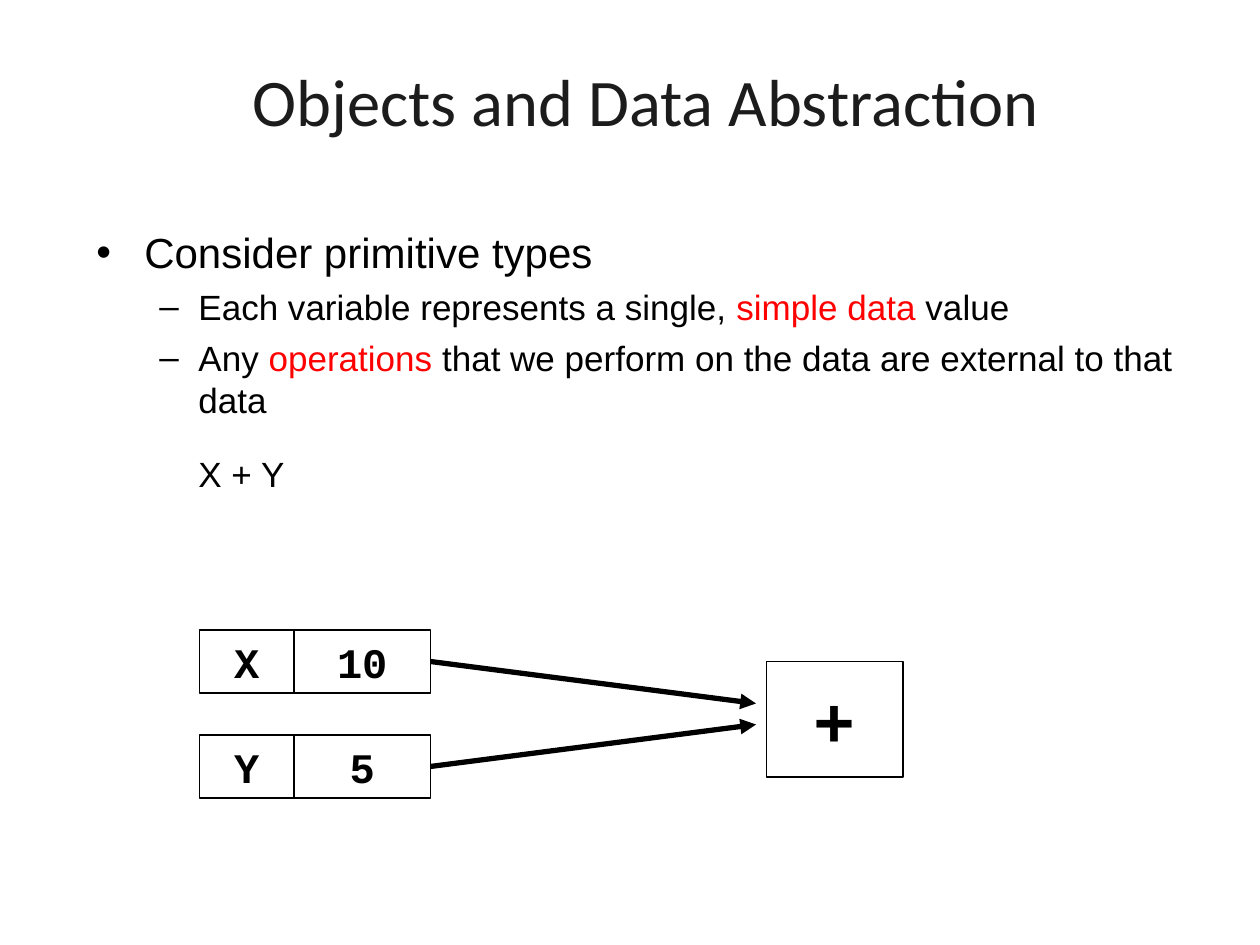
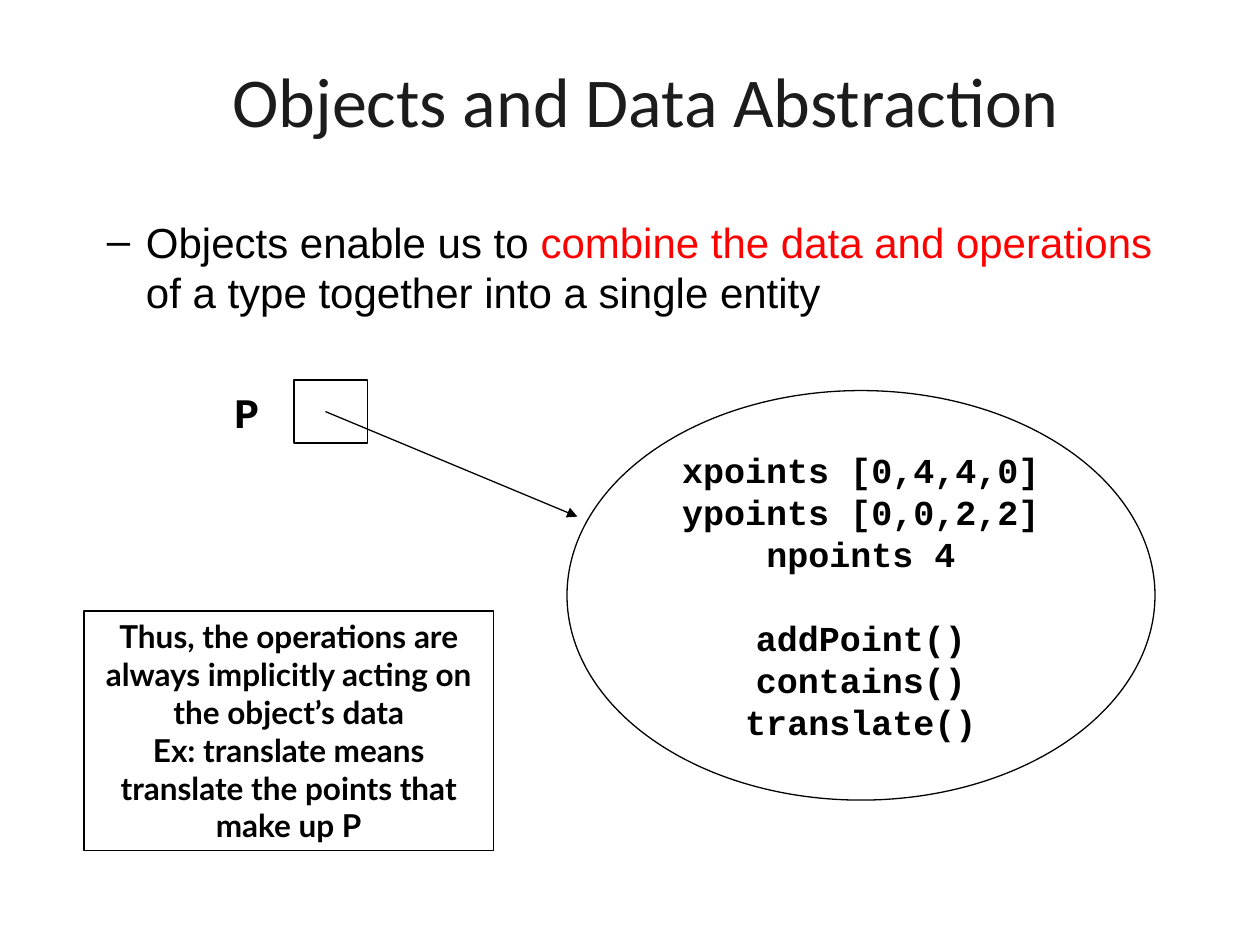
from dataclasses import dataclass

from lxml import etree
from pptx import Presentation
from pptx.dml.color import RGBColor
from pptx.enum.shapes import MSO_CONNECTOR, MSO_SHAPE
from pptx.enum.text import MSO_ANCHOR, PP_ALIGN
from pptx.oxml.ns import qn
from pptx.util import Inches, Pt

RECTANGLE, ELLIPSE = MSO_SHAPE.RECTANGLE, MSO_SHAPE.OVAL
STRAIGHT = MSO_CONNECTOR.STRAIGHT
TOP, MIDDLE = MSO_ANCHOR.TOP, MSO_ANCHOR.MIDDLE
LEFT, CENTER = PP_ALIGN.LEFT, PP_ALIGN.CENTER

COLORS = {"title": "1C1C1C", "ink": "000000", "highlight": "FF0000"}
SLIDE_WIDTH, SLIDE_HEIGHT = Inches(10), Inches(7.5)
COLUMNS, ROWS = 120, 90
LINE_HEIGHT = 1.2
TITLE = "Objects and Data Abstraction"


@dataclass(frozen=True)
class Area:
    column: float
    row: float
    columns: float
    rows: float


@dataclass(frozen=True)
class Line:
    text: str
    size: float
    font: str = "Courier New"
    bold: bool = True
    color: str = "ink"
    highlight: str = ""
    bullet: str = ""
    margin: float = 0
    hanging: float = 0
    before: float = 0
    height: float = 0
    align: PP_ALIGN = CENTER


@dataclass(frozen=True)
class Box:
    area: Area
    lines: tuple[Line, ...] = ()
    preset: MSO_SHAPE = RECTANGLE
    wrap: bool = False


@dataclass(frozen=True)
class Arrow:
    start: tuple[float, float]
    end: tuple[float, float]
    width: float


def across(columns: float) -> int:
    return round(SLIDE_WIDTH * columns / COLUMNS)


def down(rows: float) -> int:
    return round(SLIDE_HEIGHT * rows / ROWS)


def place(area: Area) -> tuple[int, int, int, int]:
    return across(area.column), down(area.row), across(area.columns), down(area.rows)


def rgb(name: str) -> RGBColor:
    return RGBColor.from_string(COLORS[name])


def top_point(text: str) -> Line:
    return Line(text, 24, "Arial", False, bullet="•", margin=0.38, hanging=0.38, align=LEFT)


def sub_point(text: str, highlight: str, size: float = 20, before: float = 5) -> Line:
    return Line(text, size, "Arial", False, highlight=highlight, bullet="–",
                margin=0.81, hanging=0.31, before=before, align=LEFT)


def write_line(paragraph, line: Line) -> None:
    properties = paragraph._p.get_or_add_pPr()
    properties.set("marL", str(Inches(line.margin)))
    properties.set("indent", str(-Inches(line.hanging)))
    if line.bullet:
        etree.SubElement(properties, qn("a:buFont"), typeface="Arial")
        etree.SubElement(properties, qn("a:buChar"), char=line.bullet)
    paragraph.alignment = line.align
    paragraph.space_before = Pt(line.before)
    paragraph.line_spacing = Pt(line.height or line.size * LINE_HEIGHT)

    pieces = [(line.text, line.color)]
    if line.highlight:
        lead, marked, rest = line.text.partition(line.highlight)
        pieces = [(lead, line.color), (marked, "highlight"), (rest, line.color)]
    for text, color in pieces:
        run = paragraph.add_run()
        run.text = text
        run.font.name, run.font.size, run.font.bold = line.font, Pt(line.size), line.bold
        run.font.color.rgb = rgb(color)


def write_lines(shape, lines: tuple[Line, ...], anchor: MSO_ANCHOR, wrap: bool) -> None:
    text_frame = shape.text_frame
    text_frame.word_wrap = wrap
    text_frame.vertical_anchor = anchor
    for index, line in enumerate(lines):
        paragraph = text_frame.add_paragraph() if index else text_frame.paragraphs[0]
        write_line(paragraph, line)


def add_text(slide, area: Area, lines: tuple[Line, ...],
             anchor: MSO_ANCHOR = TOP, wrap: bool = True) -> None:
    write_lines(slide.shapes.add_textbox(*place(area)), lines, anchor, wrap)


def add_box(slide, box: Box) -> None:
    shape = slide.shapes.add_shape(box.preset, *place(box.area))
    shape.shadow.inherit = False
    shape.fill.background()
    shape.line.color.rgb = rgb("ink")
    shape.line.width = Pt(0.75)
    write_lines(shape, box.lines, MIDDLE, box.wrap)


def add_arrow(slide, arrow: Arrow) -> None:
    (start_column, start_row), (end_column, end_row) = arrow.start, arrow.end
    connector = slide.shapes.add_connector(
        STRAIGHT, across(start_column), down(start_row), across(end_column), down(end_row))
    connector.line.color.rgb = rgb("ink")
    connector.line.width = Pt(arrow.width)
    etree.SubElement(connector.line._get_or_add_ln(), qn("a:tailEnd"), type="triangle")
    etree.SubElement(connector._element.spPr, qn("a:effectLst"))


def add_titled_slide(presentation, title_size: float, body: Area, points: tuple[Line, ...]):
    slide = presentation.slides.add_slide(presentation.slide_layouts[6])
    title = Line(TITLE, title_size, "Calibri", False, "title")
    add_text(slide, Area(8, 3, 107, 13), (title,), MIDDLE)
    add_text(slide, body, points)
    return slide


def build_primitive_slide(presentation) -> None:
    points = (
        top_point("Consider primitive types"),
        sub_point("Each variable represents a single, simple data value", "simple data"),
        sub_point("Any operations that we perform on the data are external to that data",
                  "operations"),
        Line("X + Y", 20, "Arial", False, margin=0.81, before=6, height=36, align=LEFT),
    )
    slide = add_titled_slide(presentation, 38, Area(8, 21, 110, 59), points)
    for index, (name, value) in enumerate((("X", "10"), ("Y", "5"))):
        row = 60 + 10 * index
        add_box(slide, Box(Area(19, row, 9, 6), (Line(name, 24),)))
        add_box(slide, Box(Area(28, row, 13, 6), (Line(value, 24),)))
        add_arrow(slide, Arrow((41, row + 3), (72, 67 + 2 * index), 3))
    add_box(slide, Box(Area(73, 63, 13, 11), (Line("+", 40),)))


def build_object_slide(presentation) -> None:
    point = sub_point(
        "Objects enable us to combine the data and operations of a type together "
        "into a single entity", "combine the data and operations", 24, 0)
    slide = add_titled_slide(presentation, 40, Area(3, 20, 111, 57), (point,))
    add_text(slide, Area(19, 36.2, 9, 6), (Line("P", 24),), MIDDLE, False)

    fields = ("xpoints [0,4,4,0]", "ypoints [0,0,2,2]", "npoints 4")
    methods = ("addPoint()", "contains()", "translate()")
    members = tuple(Line(text, 20, before=24 if text == methods[0] else 0)
                    for text in fields + methods)
    remarks = tuple(Line(text, 18, "Lato") for text in (
        "Thus, the operations are always implicitly acting on the object’s data",
        "Ex: translate means translate the points that make up P"))
    add_box(slide, Box(Area(28, 36.2, 7, 6)))
    add_box(slide, Box(Area(54, 37.2, 56, 39), members, ELLIPSE))
    add_arrow(slide, Arrow((31, 39.2), (55, 49.2), 0.75))
    add_box(slide, Box(Area(8, 58.2, 39, 22.8), remarks, wrap=True))


def main() -> None:
    presentation = Presentation()
    presentation.slide_width, presentation.slide_height = SLIDE_WIDTH, SLIDE_HEIGHT
    build_primitive_slide(presentation)
    build_object_slide(presentation)
    presentation.save("out.pptx")


if __name__ == "__main__":
    main()
